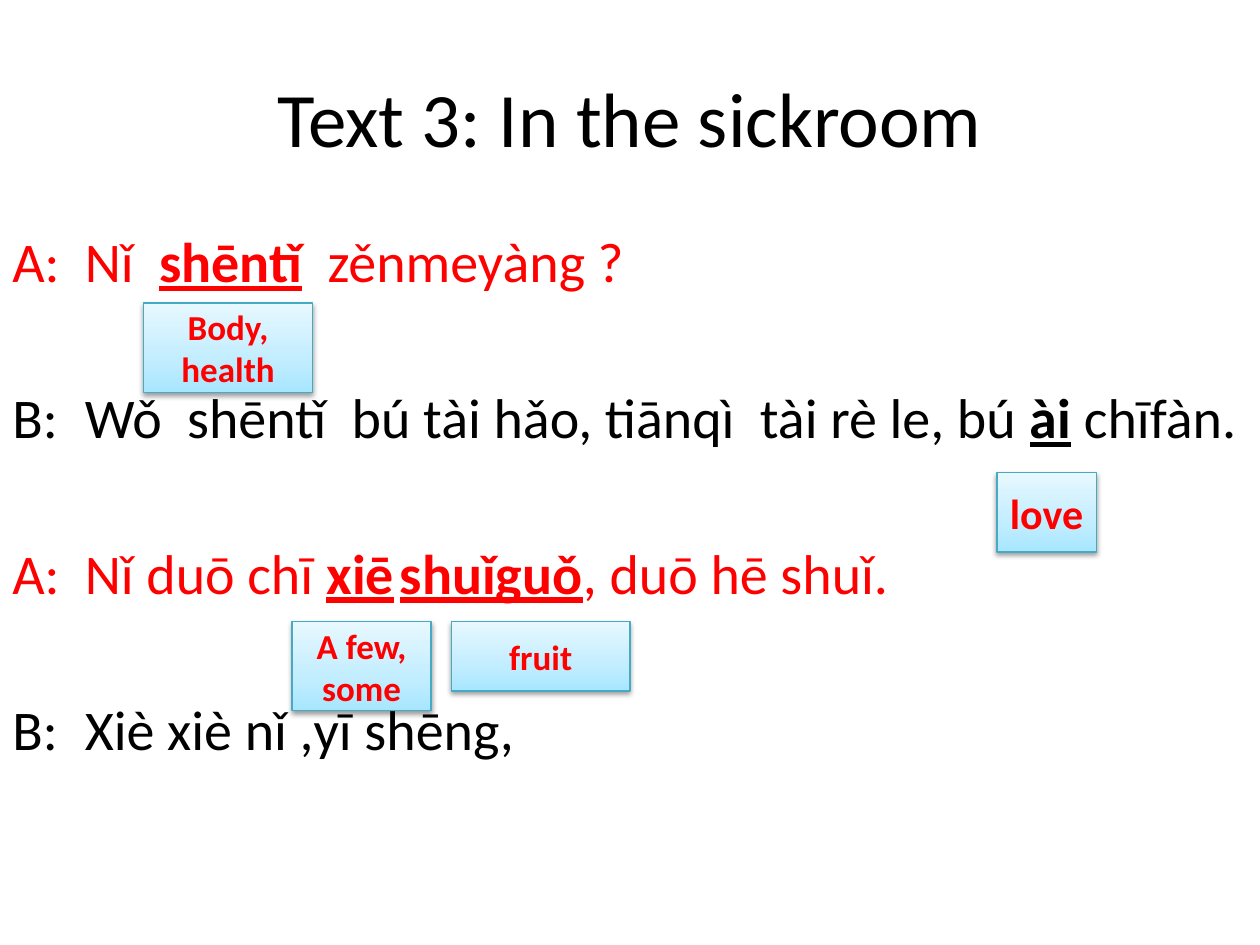
from lxml import etree
from pptx import Presentation
from pptx.dml.color import RGBColor
from pptx.enum.shapes import MSO_SHAPE
from pptx.enum.text import MSO_ANCHOR, PP_ALIGN
from pptx.oxml.ns import qn
from pptx.util import Cm, Pt

RECTANGLE = MSO_SHAPE.RECTANGLE
MIDDLE = MSO_ANCHOR.MIDDLE
CENTER = PP_ALIGN.CENTER

FONT = "Calibri"
BLACK = RGBColor(0x00, 0x00, 0x00)
RED = RGBColor(0xFF, 0x00, 0x00)
GLOSS_BORDER = RGBColor(0x46, 0xAA, 0xC5)
GLOSS_STOPS = [
    (0, RGBColor(0xA7, 0xE6, 0xFF)),
    (35, RGBColor(0xC1, 0xED, 0xFF)),
    (100, RGBColor(0xE7, 0xF8, 0xFF)),
]

SPEAKER_INDENT = Cm(1.46)
WORD_TAB = Cm(8.72)
LINE_GAP = Pt(50.6)

# Speaker, colour, and pieces of the line as (text, is a new word)
DIALOGUE = [
    ("A:", RED, [("Nǐ  ", False), ("shēntǐ", True), ("  zěnmeyàng ?", False)]),
    ("B:", BLACK, [("Wǒ  shēntǐ  bú tài hǎo, tiānqì  tài rè le, bú ", False),
                   ("ài", True), (" chīfàn.", False)]),
    ("A:", RED, [("Nǐ duō chī ", False), ("xiē", True), ("\t", False),
                 ("shuǐguǒ", True), (", duō hē shuǐ.", False)]),
    ("B:", BLACK, [("Xiè xiè nǐ ,yī shēng,", False)]),
]

# Meaning lines, left, top, width, height in cm, text size
GLOSSES = [
    (["Body,", "health"], 2.9, 6.11, 3.4, 1.8, 20),
    (["love"], 20.1, 9.53, 2, 1.6, 24),
    (["A few,", "some"], 5.89, 12.53, 2.8, 1.8, 20),
    (["fruit"], 9.1, 12.53, 3.6, 1.4, 20),
]


def style(run, size, color, bold=False, underline=False):
    font = run.font
    font.name = FONT
    font.size = Pt(size)
    font.color.rgb = color
    font.bold = bold
    font.underline = underline


def add_text_frame(slide, left, top, width, height):
    frame = slide.shapes.add_textbox(left, top, width, height).text_frame
    frame.word_wrap = True
    return frame


def add_title(slide, title):
    frame = add_text_frame(slide, Cm(1.27), Cm(0.76), Cm(22.86), Cm(3.18))
    frame.vertical_anchor = MIDDLE
    frame.text = title
    heading = frame.paragraphs[0]
    heading.alignment = CENTER
    style(heading.runs[0], 44, BLACK)


def set_hanging_indent(paragraph):
    """Hang the line after its speaker label and set the tab between words."""
    properties = paragraph._p.get_or_add_pPr()
    properties.set("marL", str(SPEAKER_INDENT))
    properties.set("indent", str(-SPEAKER_INDENT))
    tabs = etree.SubElement(properties, qn("a:tabLst"))
    for position in (SPEAKER_INDENT, WORD_TAB):
        etree.SubElement(tabs, qn("a:tab"), pos=str(position), algn="l")


def add_dialogue(slide):
    frame = add_text_frame(slide, Cm(0), Cm(4.45), Cm(25.4), Cm(12.57))
    for number, (speaker, color, pieces) in enumerate(DIALOGUE):
        line = frame.add_paragraph() if number else frame.paragraphs[0]
        set_hanging_indent(line)
        if number:
            line.space_before = LINE_GAP
        for text, is_new_word in [(speaker + "\t", False)] + pieces:
            run = line.add_run()
            run.text = text
            style(run, 32, color, is_new_word, is_new_word)


def fill_with_gradient(shape):
    shape.fill.gradient()
    shape.fill.gradient_angle = 90
    stops = shape._element.spPr.find(".//" + qn("a:gsLst"))
    for stop in list(stops):
        stops.remove(stop)
    for percent, color in GLOSS_STOPS:
        stop = etree.SubElement(stops, qn("a:gs"), pos=str(percent * 1000))
        etree.SubElement(stop, qn("a:srgbClr"), val=str(color))


def add_soft_shadow(shape):
    shape.shadow.inherit = False
    effects = shape._element.spPr.find(qn("a:effectLst"))
    shadow = etree.SubElement(
        effects, qn("a:outerShdw"), blurRad=str(Pt(3.1)), dist=str(Pt(1.6)),
        dir=str(90 * 60000), rotWithShape="0")
    color = etree.SubElement(shadow, qn("a:srgbClr"), val=str(BLACK))
    etree.SubElement(color, qn("a:alpha"), val="38000")


def add_gloss(slide, meaning, left, top, width, height, size):
    """Add the box that explains a new word."""
    box = slide.shapes.add_shape(RECTANGLE, Cm(left), Cm(top), Cm(width), Cm(height))
    fill_with_gradient(box)
    box.line.color.rgb = GLOSS_BORDER
    box.line.width = Pt(0.75)
    add_soft_shadow(box)
    frame = box.text_frame
    frame.word_wrap = True
    frame.vertical_anchor = MIDDLE
    frame.text = "\n".join(meaning)
    for paragraph in frame.paragraphs:
        paragraph.alignment = CENTER
        style(paragraph.runs[0], size, RED, bold=True)


def main():
    deck = Presentation()
    deck.slide_width = Cm(25.4)
    deck.slide_height = Cm(19.05)
    slide = deck.slides.add_slide(deck.slide_layouts[6])
    add_title(slide, "Text 3: In the sickroom")
    add_dialogue(slide)
    for gloss in GLOSSES:
        add_gloss(slide, *gloss)
    deck.save("out.pptx")


if __name__ == "__main__":
    main()
